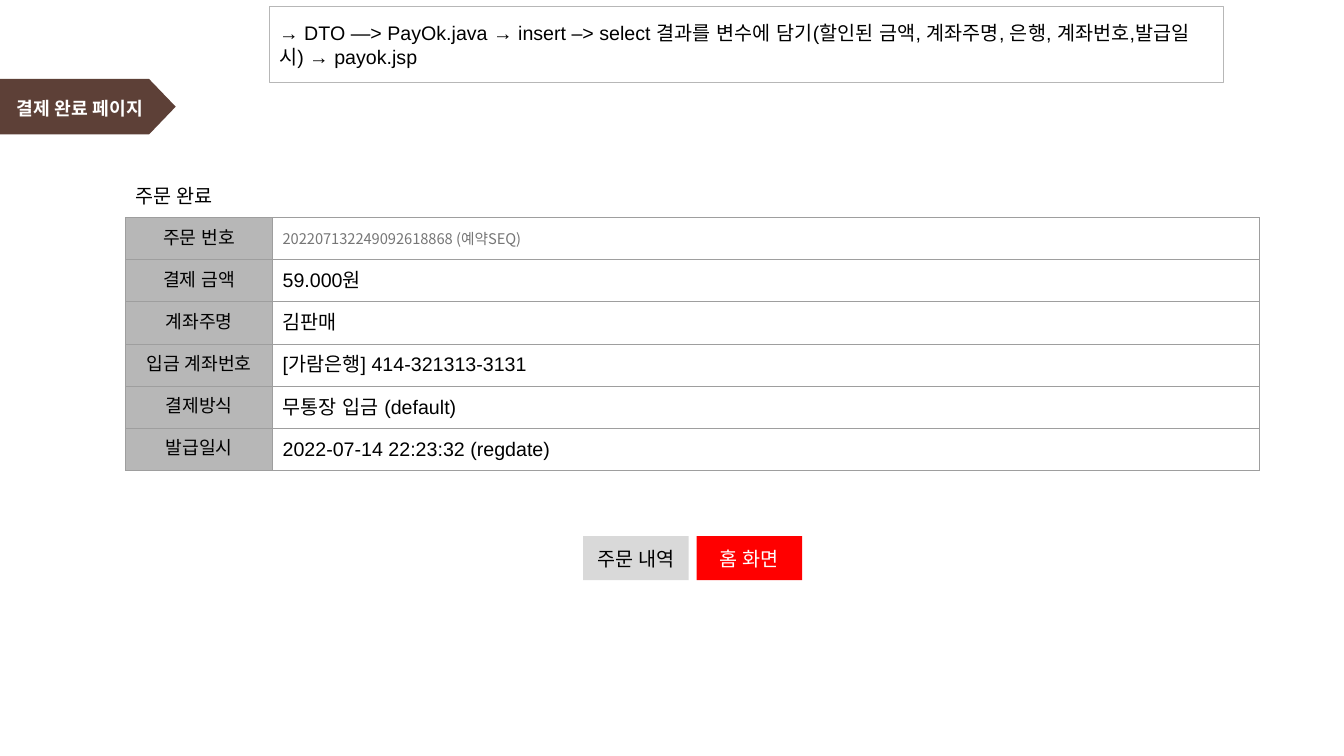
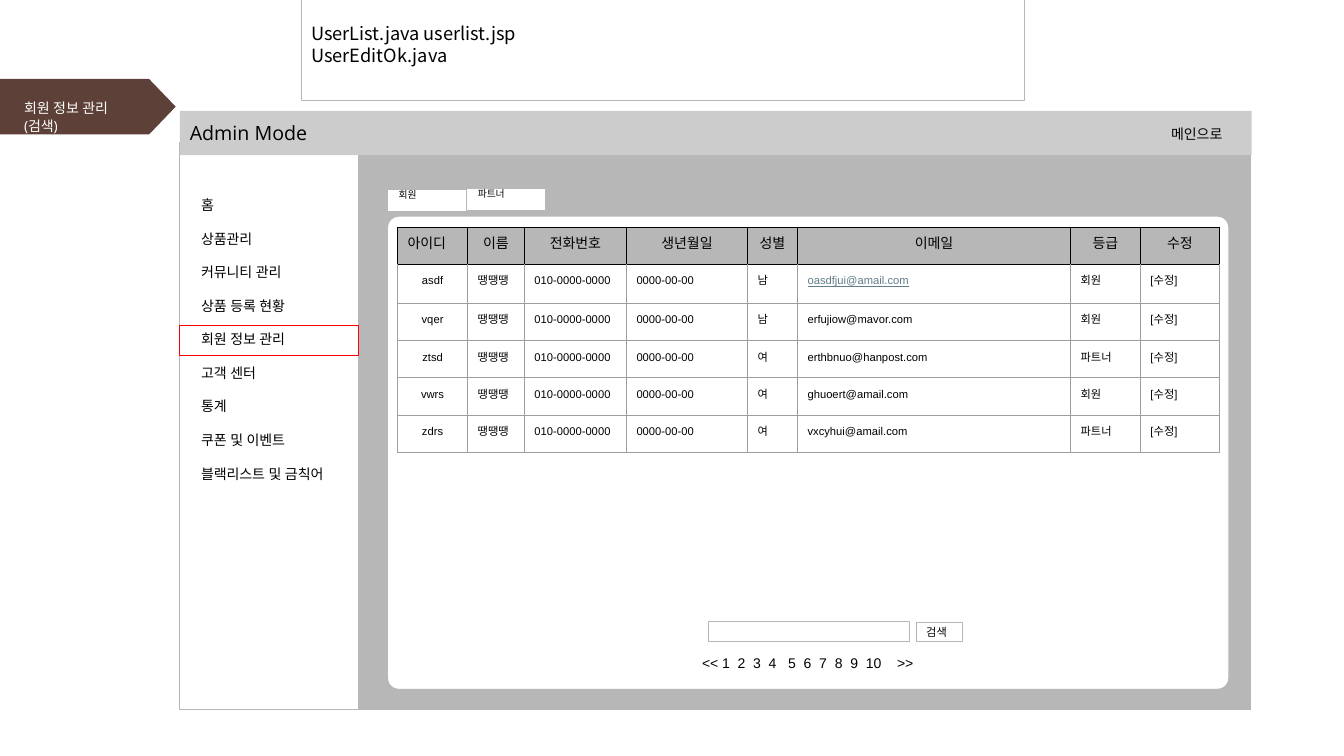
from dataclasses import dataclass
from typing import Any, NamedTuple, Optional

import pptx
import pptx.dml.color
import pptx.enum.shapes
import pptx.enum.text
import pptx.oxml
import pptx.oxml.ns
import pptx.util
from lxml import etree

Pt = pptx.util.Pt
RGB = pptx.dml.color.RGBColor
SHAPE = pptx.enum.shapes.MSO_SHAPE
ALIGN = pptx.enum.text.PP_ALIGN
ANCHOR = pptx.enum.text.MSO_ANCHOR
qn = pptx.oxml.ns.qn


@dataclass(frozen=True)
class Theme:
    brown: str = "5D4037"
    white: str = "FFFFFF"
    black: str = "000000"
    grey: str = "B7B7B7"
    bar: str = "CCCCCC"
    button: str = "D9D9D9"
    red: str = "FF0000"
    rule: str = "9E9E9E"
    muted: str = "767676"
    link: str = "607D8B"
    sans: str = "Open Sans"
    body: str = "Arial"
    code: str = "Noto Sans CJK SC"
    number: str = "Noto Sans CJK KR"
    large: float = 14
    label: float = 13
    order: float = 10.5
    normal: float = 10
    small: float = 8
    tiny: float = 7
    hairline: float = 0.75
    inset: float = 7.2


T = Theme()


class Box(NamedTuple):
    left: float
    top: float
    width: float
    height: float


class Button(NamedTuple):
    text: str
    left: float
    fill: str
    color: str


class Member(NamedTuple):
    user: str
    sex: str
    email: str
    grade: str
    color: str = T.black
    underline: bool = False


def write(tf: Any, text: str, *, size: float = T.large, color: str = T.black,
          font: str = T.sans, bold: bool = False, underline: bool = False,
          align: Any = ALIGN.LEFT, spacing: Optional[float] = None,
          after: float = 0) -> None:
    for i, line in enumerate(text.split("\n")):
        p = tf.paragraphs[0] if i == 0 else tf.add_paragraph()
        p.alignment = align
        p.space_before = Pt(0)
        p.space_after = Pt(after)
        if spacing is not None:
            p.line_spacing = Pt(spacing)
        r = p.add_run()
        r.text = line
        r.font.size = Pt(size)
        r.font.bold = bold
        r.font.underline = underline
        r.font.color.rgb = RGB.from_string(color)
        r.font.name = font
        etree.SubElement(r.font._element, qn("a:ea")).set("typeface", font)


def frame(tf: Any, anchor: Any = ANCHOR.MIDDLE, x: float = T.inset, y: float = T.inset) -> Any:
    tf.word_wrap = True
    tf.auto_size = pptx.enum.text.MSO_AUTO_SIZE.NONE
    tf.vertical_anchor = anchor
    tf.margin_left = tf.margin_right = Pt(x)
    tf.margin_top = tf.margin_bottom = Pt(y)
    return tf


def paint(sp: Any, fill: Optional[str], line: Optional[str] = None) -> None:
    sp.shadow.inherit = False
    if fill:
        sp.fill.solid()
        sp.fill.fore_color.rgb = RGB.from_string(fill)
    else:
        sp.fill.background()
    if line:
        sp.line.color.rgb = RGB.from_string(line)
        sp.line.width = Pt(T.hairline)
    else:
        sp.line.fill.background()


def block(s: Any, box: Box, fill: Optional[str], line: Optional[str] = None,
          kind: Any = SHAPE.RECTANGLE) -> Any:
    sp = s.shapes.add_shape(kind, *map(Pt, box))
    paint(sp, fill, line)
    return sp


def label(s: Any, box: Box, anchor: Any = ANCHOR.MIDDLE, x: float = T.inset,
          y: float = T.inset) -> Any:
    return frame(s.shapes.add_textbox(*map(Pt, box)).text_frame, anchor, x, y)


def set_cell(cell: Any, text: str, *, fill: str = T.white, line: str = T.rule,
             top: Optional[str] = None, margin: float = T.inset, **fmt: Any) -> None:
    cell.margin_left = cell.margin_right = Pt(T.inset)
    cell.margin_top = cell.margin_bottom = Pt(margin)
    write(cell.text_frame, text, **fmt)
    props = cell._tc.get_or_add_tcPr()
    for side in "LRTB":
        ln = etree.SubElement(props, qn(f"a:ln{side}"), w=str(Pt(T.hairline)))
        paint_xml = etree.SubElement(ln, qn("a:solidFill"))
        color = top if side == "T" and top else line
        etree.SubElement(paint_xml, qn("a:srgbClr"), val=color)
    cell.fill.solid()
    cell.fill.fore_color.rgb = RGB.from_string(fill)


def grid(s: Any, left: float, top: float, cols: list[float], rows: list[float]) -> Any:
    shape = s.shapes.add_table(len(rows), len(cols), Pt(left), Pt(top),
                               Pt(sum(cols)), Pt(sum(rows)))
    table = shape.table
    table.first_row = table.horz_banding = False
    for col, width in zip(table.columns, cols):
        col.width = Pt(width)
    for row, height in zip(table.rows, rows):
        row.height = Pt(height)
    return table


def titled_slide(prs: Any, title: str, box: Box, x: float, y: float, **fmt: Any) -> Any:
    s = prs.slides.add_slide(prs.slide_layouts[5])
    builder = s.shapes.build_freeform(0, Pt(56.4))
    builder.add_line_segments([(Pt(px), Pt(py)) for px, py in
                               [(106.5, 56.4), (125.5, 76.2), (106.5, 96), (0, 96)]])
    band = builder.convert_to_shape()
    paint(band, T.brown)
    sp = s.shapes.title
    sp.element.addprevious(band.element)
    sp.left, sp.top, sp.width, sp.height = map(Pt, box)
    write(frame(sp.text_frame, ANCHOR.TOP, x, y), title, color=T.white, **fmt)
    return s


def note(s: Any, box: Box, text: str, **fmt: Any) -> None:
    write(frame(block(s, box, T.white, T.grey).text_frame), text, **fmt)


def payment_slide(prs: Any) -> None:
    s = titled_slide(prs, "결제 완료 페이지", Box(0, 65.5, 114, 54), 0, 3.6,
                     size=T.label, bold=True, align=ALIGN.CENTER, spacing=16)
    rows = [
        ("주문 번호", "202207132249092618868 (예약SEQ)"),
        ("결제 금액", "59.000원"),
        ("계좌주명", "김판매"),
        ("입금 계좌번호", "[가람은행] 414-321313-3131"),
        ("결제방식", "무통장 입금 (default)"),
        ("발급일시", "2022-07-14 22:23:32 (regdate)"),
    ]
    table = grid(s, 89.7, 155.4, [105, 705], [30] * len(rows))
    for i, (name, value) in enumerate(rows):
        set_cell(table.cell(i, 0), name, fill=T.grey, size=T.label, font=T.body,
                 align=ALIGN.CENTER)
        fmt = dict(size=T.order, font=T.number, color=T.muted) if i == 0 else dict(font=T.body)
        set_cell(table.cell(i, 1), value, **fmt)
    write(label(s, Box(89.7, 124, 90, 31.5)), "주문 완료")
    for b in (Button("주문 내역", 416.5, T.button, T.black),
              Button("홈 화면", 497.5, T.red, T.white)):
        sp = block(s, Box(b.left, 383, 75.5, 31.5), b.fill)
        write(frame(sp.text_frame), b.text, color=b.color, align=ALIGN.CENTER)
    note(s, Box(192.3, 4.5, 682, 54.5),
         "→ DTO —> PayOk.java → insert –> select 결과를 변수에 담기"
         "(할인된 금액, 계좌주명, 은행, 계좌번호,발급일시) → payok.jsp", font=T.body)


def admin_frame(s: Any) -> None:
    left, width, side = 128, 765.5, 128
    block(s, Box(left, 101.5, width, 405.5), T.grey, T.grey)
    block(s, Box(left, 101.5, side, 405.5), T.white, T.grey)
    menu = ["홈", "상품관리", "커뮤니티 관리", "상품 등록 현황", "회원 정보 관리",
            "고객 센터", "통계", "쿠폰 및 이벤트", "블랙리스트 및 금칙어"]
    write(label(s, Box(136.6, 133.2, 119.5, 225), ANCHOR.TOP), "\n".join(menu),
          size=T.normal, spacing=12, after=12)
    block(s, Box(left, 232.7, side, 21), None, T.red)
    bar = block(s, Box(left + 0.5, 79.2, width, 31.7), T.bar)
    write(frame(bar.text_frame), "Admin Mode")
    write(label(s, Box(829.5, 82.5, 64, 26.5)), "메인으로", size=T.normal)


def member_table(s: Any) -> None:
    heads = ["아이디", "이름", "전화번호", "생년월일", "성별", "이메일", "등급", "수정"]
    members = [
        Member("asdf", "남", "oasdfjui@amail.com", "회원", T.link, True),
        Member("vqer", "남", "erfujiow@mavor.com", "회원"),
        Member("ztsd", "여", "erthbnuo@hanpost.com", "파트너"),
        Member("vwrs", "여", "ghuoert@amail.com", "회원"),
        Member("zdrs", "여", "vxcyhui@amail.com", "파트너"),
    ]
    table = grid(s, 284, 162.4, [50, 40.5, 73, 86.5, 35.7, 195, 50, 56.5],
                 [26.4, 28] + [26.6] * 4)
    for j, head in enumerate(heads):
        set_cell(table.cell(0, j), head, fill=T.grey, line=T.black, margin=6,
                 size=T.normal, font=T.body, align=ALIGN.CENTER if j else ALIGN.LEFT)
    for i, m in enumerate(members, 1):
        values = [m.user, "땡땡땡", "010-0000-0000", "0000-00-00", m.sex, m.email,
                  m.grade, "[수정]"]
        for j, value in enumerate(values):
            is_email = heads[j] == "이메일"
            set_cell(table.cell(i, j), value, top=T.black if i == 1 else None,
                     size=T.small, font=T.body,
                     align=ALIGN.LEFT if j else ALIGN.CENTER,
                     color=m.color if is_email else T.black,
                     underline=m.underline and is_email)


def pager(s: Any) -> None:
    tf = label(s, Box(501.5, 463, 180, 21), x=0, y=0)
    marks = ["<<", *map(str, range(1, 11)), ">>"]
    write(tf, "\t".join(marks), size=T.normal, font=T.body)
    stops = [14.3 + 11.1 * n for n in range(4)] + [61.5 + 11.1 * n for n in range(6)] + [139.3]
    tabs = etree.SubElement(tf.paragraphs[0]._p.get_or_add_pPr(), qn("a:tabLst"))
    for stop in stops:
        etree.SubElement(tabs, qn("a:tab"), pos=str(Pt(stop)), algn="l")


def member_slide(prs: Any) -> None:
    s = titled_slide(prs, "회원 정보 관리\n(검색)", Box(10, 63.4, 99.5, 39), T.inset, T.inset,
                     size=T.normal, spacing=12.5)
    admin_frame(s)
    for i, name in enumerate(["회원", "파트너"]):
        sp = block(s, Box(276.8 + 56.6 * i, 135.3 - 0.7 * i, 56.6, 15.6), T.white, T.grey)
        write(frame(sp.text_frame, ANCHOR.TOP, 8, 0), name, size=T.tiny, spacing=8)
    panel = block(s, Box(276.8, 154.4, 601, 338), T.white, T.grey, SHAPE.ROUNDED_RECTANGLE)
    panel.adjustments[0] = 0.024
    pager(s)
    block(s, Box(506, 444, 144, 14.4), T.white, T.grey)
    search = block(s, Box(654.5, 444.7, 33.3, 13.7), T.white, T.grey)
    write(frame(search.text_frame, y=0), "검색", size=T.small, font=T.body)
    member_table(s)
    note(s, Box(215.3, -9.4, 516.5, 81.5), "UserList.java userlist.jsp\nUserEditOk.java",
         size=T.label, font=T.code, spacing=16)


def main() -> None:
    prs = pptx.Presentation()
    prs.slide_width, prs.slide_height = Pt(960), Pt(540)
    payment_slide(prs)
    member_slide(prs)
    prs.save("out.pptx")


if __name__ == "__main__":
    main()
